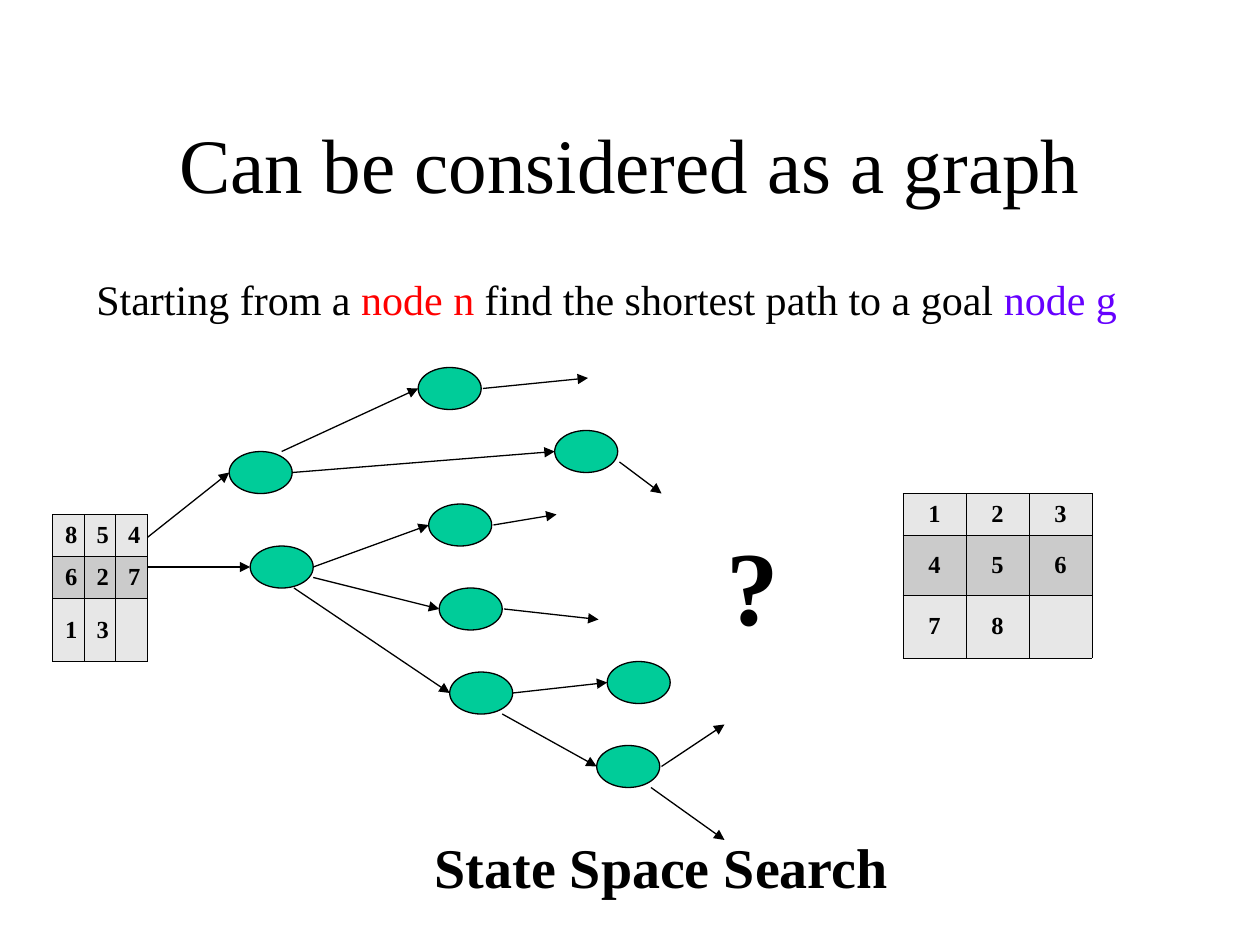
from lxml.etree import SubElement
from pptx import Presentation
from pptx.dml.color import RGBColor
from pptx.enum.shapes import MSO_CONNECTOR, MSO_SHAPE
from pptx.enum.text import MSO_ANCHOR, PP_ALIGN
from pptx.oxml.ns import qn
from pptx.util import Pt

COLORS = {
    "black": "000000", "start": "FF0000", "goal": "6600FF",
    "node": "00CC99", "light": "E7E7E7", "dark": "CBCBCB",
}
FONT = "Times New Roman"

# Content: (text, colour) spans, box = left, top, width, height
TITLE = [("Can be considered as a graph", "black")]
TASK = [
    ("Starting from a ", "black"), ("node n", "start"),
    (" find the shortest path to a goal ", "black"), ("node g", "goal"),
]
TEXTS = [
    (TASK, (48, 153, 612, 40), 24, False, PP_ALIGN.LEFT, True),
    ([("?", "black")], (408, 294, 44, 79), 60, True, PP_ALIGN.LEFT, False),
    ([("State Space Search", "black")], (72, 472, 612, 60), 32, True,
     PP_ALIGN.CENTER, True),
]

# Board: left, top, column width, row heights, rows
BOARDS = [
    (30, 294, 18, (24, 24, 36), ("854", "627", "13 ")),
    (516, 282, 36, (24, 34, 36), ("123", "456", "78 ")),
]

NODE_WIDTH, NODE_HEIGHT = 36, 24
NODES = {
    "upper": (131, 258), "lower": (143, 312),
    "upper a": (239, 210), "upper b": (317, 246),
    "lower a": (245, 288), "lower b": (251, 336), "lower c": (257, 384),
    "leaf a": (347, 378), "leaf b": (341, 426),
}
# Edge: source node, offset of the start inside it, target node or open end
RIGHT, BESIDE = (36, 12), (37, 12)
EDGES = [
    ("upper", (30, 0), "upper a"), ("upper", RIGHT, "upper b"),
    ("lower", RIGHT, "lower a"), ("lower", (36, 18), "lower b"),
    ("lower", (25, 24), "lower c"),
    ("lower c", RIGHT, "leaf a"), ("lower c", (30, 24), "leaf b"),
    ("upper a", BESIDE, (336, 216)), ("upper b", (37, 18), (378, 282)),
    ("lower a", BESIDE, (318, 294)), ("lower b", BESIDE, (342, 354)),
    ("leaf b", BESIDE, (414, 414)), ("leaf b", (31, 24), (414, 480)),
]
START_EDGES = [((70.5, 318), "upper"), ((77, 324), "lower")]


def color(name):
    return RGBColor.from_string(COLORS[name])


def write(frame, spans, size, bold, align):
    paragraph = frame.paragraphs[0]
    paragraph.alignment = align
    for text, shade in spans:
        span = paragraph.add_run()
        span.text = text
        for key, value in {"name": FONT, "size": Pt(size), "bold": bold}.items():
            setattr(span.font, key, value)
        span.font.color.rgb = color(shade)


def add_arrow(page, start, target):
    if isinstance(target, str):
        left, top = NODES[target]
        target = (left, top + NODE_HEIGHT / 2)
    arrow = page.shapes.add_connector(
        MSO_CONNECTOR.STRAIGHT, *(Pt(value) for value in (*start, *target)))
    arrow.line.color.rgb = color("black")
    arrow.line.width = Pt(0.75)
    properties = arrow.line._get_or_add_ln()
    SubElement(properties, qn("a:tailEnd"), type="triangle")
    SubElement(arrow._element.spPr, qn("a:effectLst"))


def add_node(page, left, top):
    node = page.shapes.add_shape(
        MSO_SHAPE.OVAL, Pt(left), Pt(top), Pt(NODE_WIDTH), Pt(NODE_HEIGHT))
    node.shadow.inherit = False
    node.fill.solid()
    node.fill.fore_color.rgb = color("node")
    node.line.color.rgb = color("black")
    node.line.width = Pt(0.75)


def add_borders(cell):
    properties = cell._tc.get_or_add_tcPr()
    for index, side in enumerate(("lnL", "lnR", "lnT", "lnB")):
        border = properties.makeelement(qn(f"a:{side}"), {"w": str(Pt(0.45))})
        fill = SubElement(border, qn("a:solidFill"))
        SubElement(fill, qn("a:srgbClr"), val=COLORS["black"])
        properties.insert(index, border)


def add_board(page, left, top, width, heights, rows):
    frame = page.shapes.add_table(
        len(rows), len(rows[0]), Pt(left), Pt(top),
        Pt(width * len(rows[0])), Pt(sum(heights)))
    table = frame.table
    for column in table.columns:
        column.width = Pt(width)
    for r, (height, tiles) in enumerate(zip(heights, rows)):
        table.rows[r].height = Pt(height)
        for c, tile in enumerate(tiles):
            cell = table.cell(r, c)
            cell.vertical_anchor = MSO_ANCHOR.MIDDLE
            cell.fill.solid()
            cell.fill.fore_color.rgb = color("dark" if r % 2 else "light")
            add_borders(cell)
            if tile.strip():
                write(cell.text_frame, [(tile, "black")], 14, True, PP_ALIGN.CENTER)


def main():
    deck = Presentation()
    deck.slide_width, deck.slide_height = Pt(720), Pt(540)
    page = deck.slides.add_slide(deck.slide_layouts[5])

    # Title
    title = page.shapes.title
    title.left, title.top, title.width, title.height = Pt(54), Pt(48), Pt(612), Pt(90)
    title.text_frame.vertical_anchor = MSO_ANCHOR.MIDDLE
    write(title.text_frame, TITLE, 44, False, PP_ALIGN.CENTER)

    # Search graph
    for start, target in START_EDGES:
        add_arrow(page, start, target)
    for source, (dx, dy), target in EDGES:
        left, top = NODES[source]
        add_arrow(page, (left + dx, top + dy), target)
    for position in NODES.values():
        add_node(page, *position)

    # Start and goal boards
    for board in BOARDS:
        add_board(page, *board)

    # Task, question mark and caption
    for spans, place, size, bold, align, wrap in TEXTS:
        box = page.shapes.add_textbox(*(Pt(value) for value in place))
        box.text_frame.word_wrap = wrap
        write(box.text_frame, spans, size, bold, align)

    deck.save("out.pptx")


if __name__ == "__main__":
    main()
